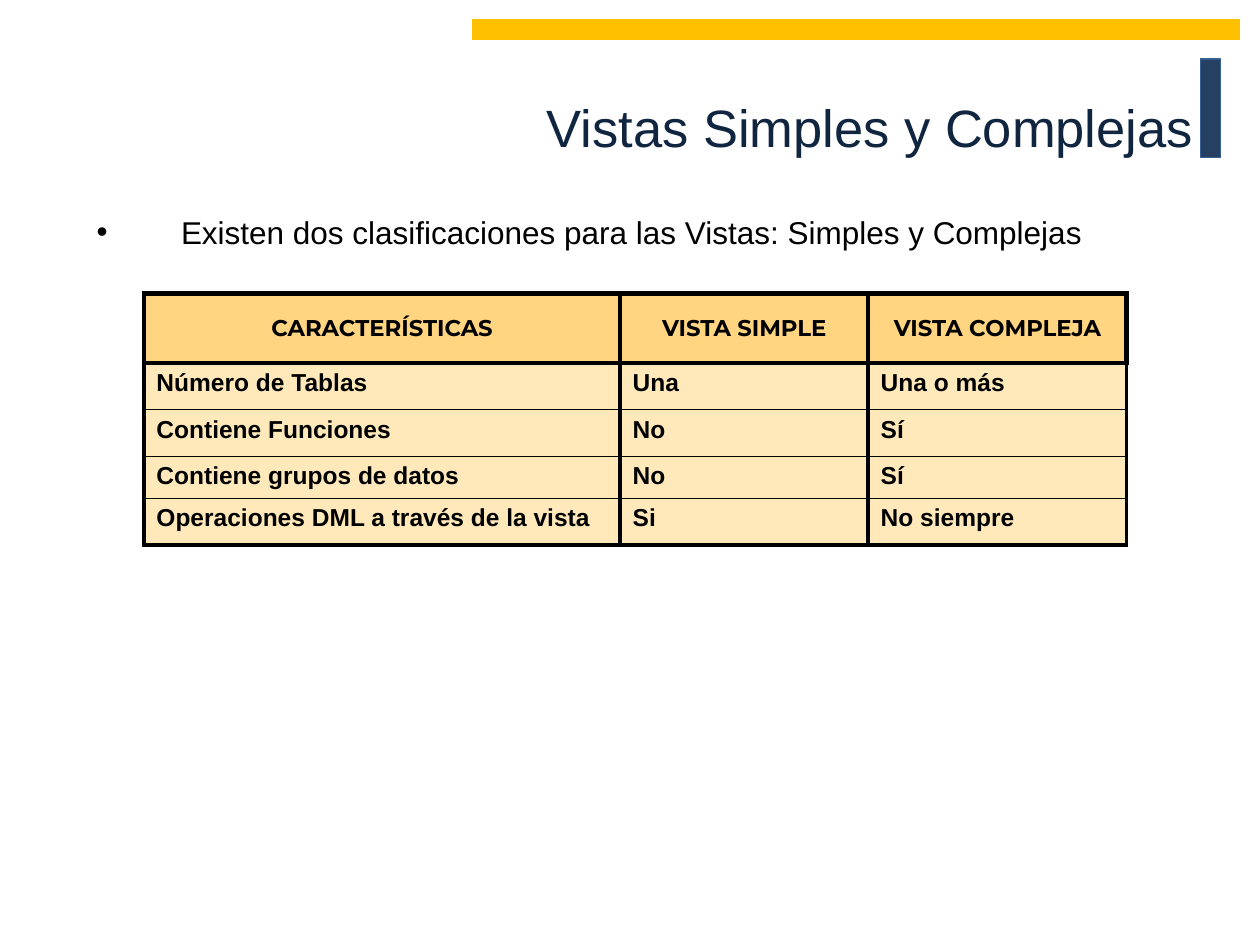
from lxml.etree import SubElement
from pptx import Presentation
from pptx.dml.color import RGBColor
from pptx.enum.shapes import MSO_SHAPE
from pptx.enum.text import MSO_ANCHOR, PP_ALIGN
from pptx.oxml.ns import qn
from pptx.util import Cm, Pt

# Content
TITLE = "Vistas Simples y Complejas"
INTRO = "Existen dos clasificaciones para las Vistas: Simples y Complejas"
FEATURES = [
    ("CARACTERÍSTICAS", "VISTA SIMPLE", "VISTA COMPLEJA"),
    ("Número de Tablas", "Una", "Una o más"),
    ("Contiene Funciones", "No", "Sí"),
    ("Contiene grupos de datos", "No", "Sí"),
    ("Operaciones DML a través de la vista", "Si", "No siempre"),
]

# Format
COLORS = {
    "navy": "254061", "navy_edge": "376092", "gold": "FFC000", "title": "10253F",
    "text": "000000", "header": "FFD581", "body": "FFE8B9",
}
FONTS = {
    "title": {"name": "Arial", "size": Pt(30)},
    "intro": {"name": "Arial", "size": Pt(18)},
    "header": {"name": "Montserrat", "size": Pt(13), "bold": True},
    "body": {"name": "Arial", "size": Pt(14), "bold": True},
}
BARS = [  # left, top, width, height in cm, fill, edge
    (24.2, 1.19, 0.4, 1.98, "navy", "navy_edge"),
    (9.52, 0.4, 15.47, 0.4, "gold", "gold"),
]
COLUMN_WIDTHS = (9.6, 5, 5.21)
ROW_HEIGHTS = (1.4, 0.94, 0.94, 0.81, 0.94)
THICK, MEDIUM, THIN = 3, 2.25, 1


def rgb(name):
    return RGBColor.from_string(COLORS[name])


def write(frame, text, style, color="text", align=None):
    paragraph = frame.paragraphs[0]
    paragraph.alignment = align
    run = paragraph.add_run()
    run.text = text
    for key, value in FONTS[style].items():
        setattr(run.font, key, value)
    run.font.color.rgb = rgb(color)
    return paragraph


def add_text(slide, box, text, style, color, align, anchor):
    frame = slide.shapes.add_textbox(*map(Cm, box)).text_frame
    frame.word_wrap = True
    frame.vertical_anchor = anchor
    return write(frame, text, style, color, align)


def set_borders(cell, widths):
    properties = cell._tc.get_or_add_tcPr()
    for position, (side, width) in enumerate(widths.items()):
        line = properties.makeelement(qn(f"a:ln{side}"), {"w": str(Pt(width))})
        fill = SubElement(line, qn("a:solidFill"))
        SubElement(fill, qn("a:srgbClr"), val=COLORS["text"])
        properties.insert(position, line)


def add_features(slide):
    rows, columns = len(FEATURES), len(FEATURES[0])
    table = slide.shapes.add_table(
        rows, columns, Cm(2.9), Cm(5.92),
        Cm(sum(COLUMN_WIDTHS)), Cm(sum(ROW_HEIGHTS))).table
    for column, width in zip(table.columns, COLUMN_WIDTHS):
        column.width = Cm(width)
    for row, height in zip(table.rows, ROW_HEIGHTS):
        row.height = Cm(height)

    for r, labels in enumerate(FEATURES):
        style = "header" if r == 0 else "body"
        for c, label in enumerate(labels):
            cell = table.cell(r, c)
            cell.fill.solid()
            cell.fill.fore_color.rgb = rgb(style)
            cell.vertical_anchor = MSO_ANCHOR.MIDDLE if r == 0 else MSO_ANCHOR.TOP
            write(cell.text_frame, label, style,
                  align=PP_ALIGN.CENTER if r == 0 else PP_ALIGN.LEFT)
            set_borders(cell, {
                "L": THICK if r == 0 and c == 0 else MEDIUM,
                "R": THICK if r == 0 and c == columns - 1 else MEDIUM,
                "T": THICK if r <= 1 else THIN,
                "B": THICK if r == 0 else MEDIUM if r == rows - 1 else THIN,
            })


def main():
    deck = Presentation()
    deck.slide_width, deck.slide_height = Cm(25.4), Cm(19.05)
    slide = deck.slides.add_slide(deck.slide_layouts[6])

    # Decorative bars
    for *box, fill, edge in BARS:
        bar = slide.shapes.add_shape(MSO_SHAPE.RECTANGLE, *map(Cm, box))
        bar.shadow.inherit = False
        bar.fill.solid()
        bar.fill.fore_color.rgb = rgb(fill)
        bar.line.color.rgb = rgb(edge)
        bar.line.width = Pt(0.75)

    # Title and bulleted introduction
    add_text(slide, (0.71, 0.53, 23.6, 4.06), TITLE, "title", "title",
             PP_ALIGN.RIGHT, MSO_ANCHOR.MIDDLE)
    intro = add_text(slide, (1.7, 4.32, 22.2, 1.14), INTRO, "intro", "text",
                     PP_ALIGN.JUSTIFY, MSO_ANCHOR.TOP)
    intro.line_spacing = 0.8
    properties = intro._p.get_or_add_pPr()
    properties.set("marL", str(Cm(1.7)))
    properties.set("indent", str(-Cm(1.7)))
    SubElement(properties, qn("a:buFont"), typeface="Arial")
    SubElement(properties, qn("a:buChar"), char="•")

    # Comparison table
    add_features(slide)
    deck.save("out.pptx")


if __name__ == "__main__":
    main()
